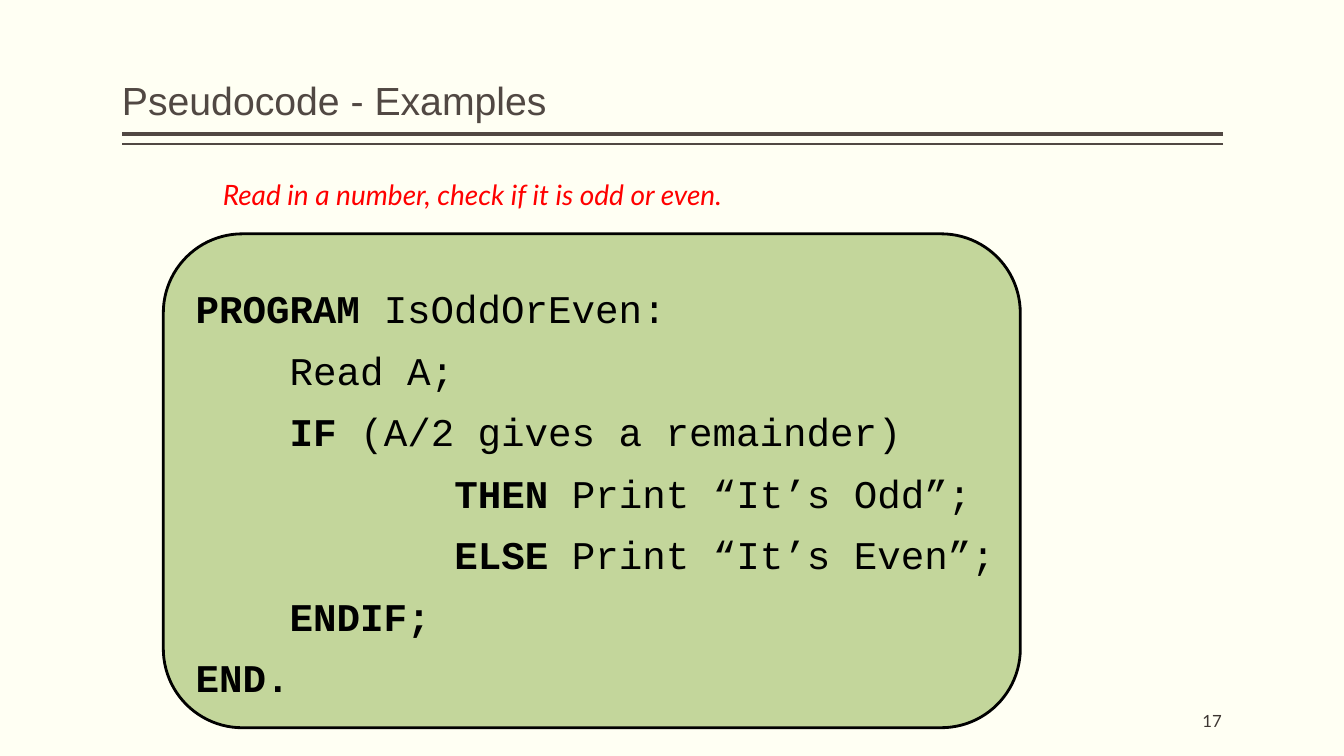
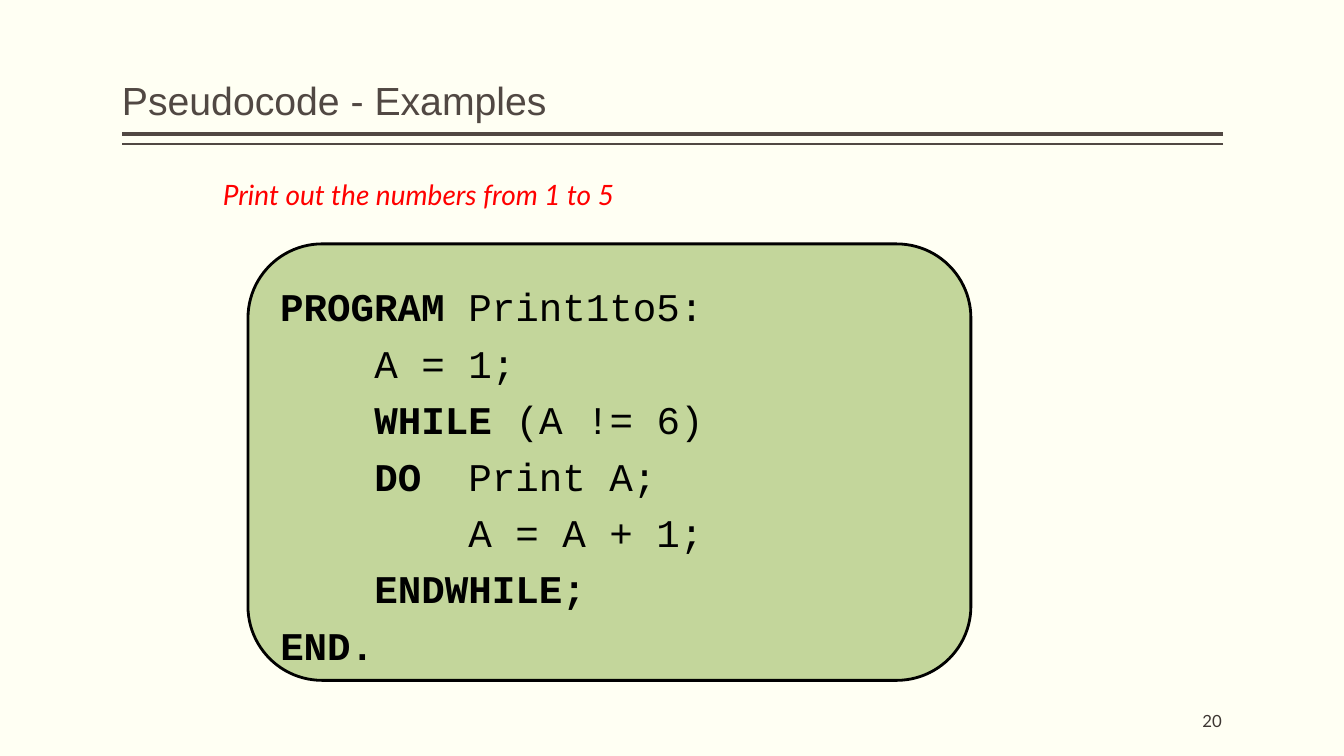
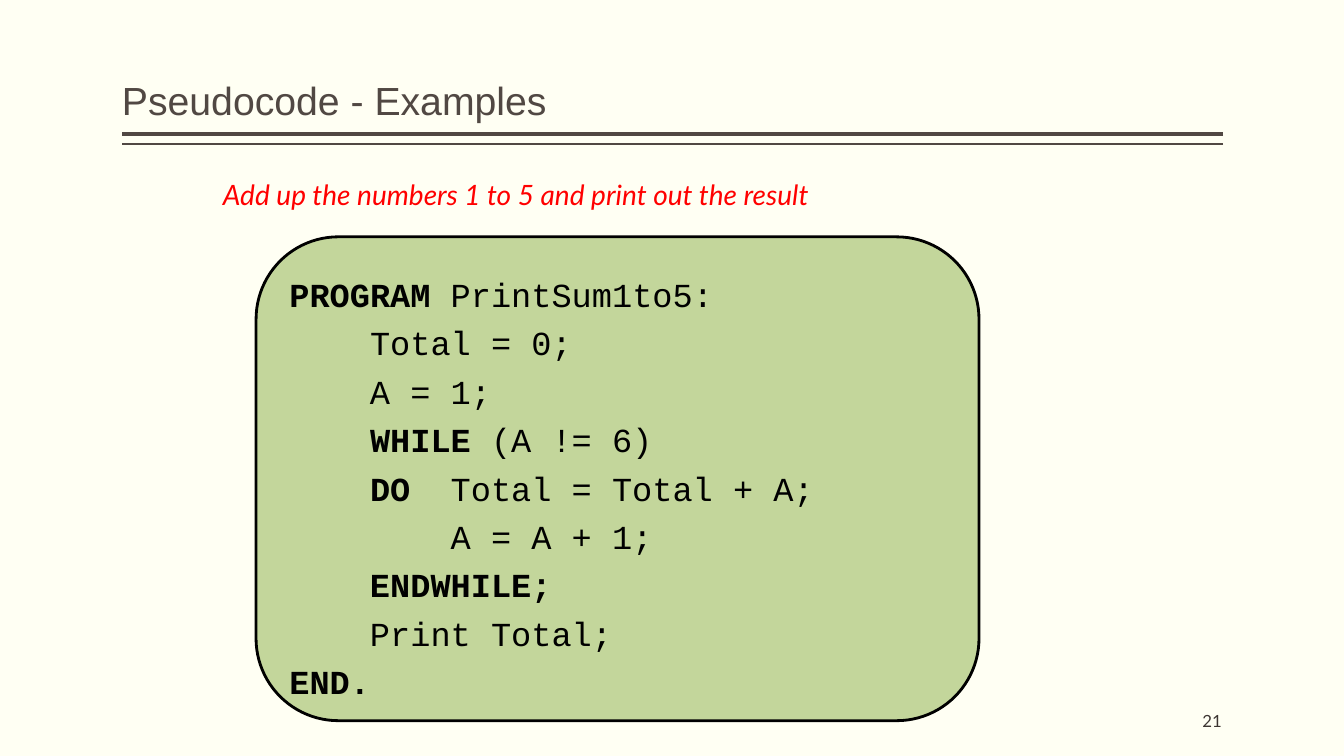
from dataclasses import dataclass

from lxml import etree
from pptx import Presentation
from pptx.dml.color import RGBColor
from pptx.enum.shapes import MSO_CONNECTOR, MSO_SHAPE
from pptx.enum.text import MSO_ANCHOR, MSO_AUTO_SIZE, PP_ALIGN
from pptx.oxml.ns import qn
from pptx.util import Inches, Pt

COLORS = {
    "background": "FFFFF3",
    "title": "514843",
    "task": "FF0000",
    "number": "3D3632",
    "panel": "C3D69B",
    "code": "000000",
}
TITLE = "Pseudocode - Examples"
KEYWORDS = {"PROGRAM", "IF", "THEN", "ELSE", "ENDIF;", "WHILE", "DO", "ENDWHILE;", "END."}
MARGIN_LEFT, CONTENT_WIDTH = 1.21, 10.92


@dataclass
class Example:
    number: str
    task: str
    panel: tuple
    corner: float
    code_left: float
    code_top: float
    row_pitch: float
    row_height: float
    size: int
    rows: list


EXAMPLES = [
    Example(
        "17", "Read in a number, check if it is odd or even.",
        (1.62, 2.32, 8.5, 4.9), 0.16, 1.94, 2.79, 0.61, 0.53, 28,
        [
            [(0, "PROGRAM"), (8, "IsOddOrEven"), (19, ":")],
            [(4, "Read A;")],
            [(4, "IF"), (7, "("), (8, "A/2 gives a remainder"), (29, ")")],
            [(11, "THEN"), (16, "Print “It’s Odd”;")],
            [(11, "ELSE"), (16, "Print “It’s Even”;")],
            [(4, "ENDIF;")],
            [(0, "END.")],
        ],
    ),
    Example(
        "20", "Print out the numbers from 1 to 5",
        (2.46, 2.42, 7.17, 4.33), 0.17, 2.78, 2.77, 0.56, 0.48, 28,
        [
            [(0, "PROGRAM"), (8, "Print1to5:")],
            [(4, "A = 1;")],
            [(4, "WHILE"), (10, "("), (11, "A != "), (16, "6)")],
            [(4, "DO"), (8, "Print A;")],
            [(8, "A = A + 1;")],
            [(4, "ENDWHILE;")],
            [(0, "END.")],
        ],
    ),
    Example(
        "21", "Add up the numbers 1 to 5 and print out the result",
        (2.54, 2.35, 7.17, 4.8), 0.17, 2.87, 2.69, 0.48, 0.41, 24,
        [
            [(0, "PROGRAM"), (8, "PrintSum1to5:")],
            [(4, "Total = 0;")],
            [(4, "A = 1;")],
            [(4, "WHILE"), (10, "("), (11, "A != "), (16, "6)")],
            [(4, "DO"), (8, "Total = Total + A;")],
            [(8, "A = A + 1;")],
            [(4, "ENDWHILE;")],
            [(4, "Print Total;")],
            [(0, "END.")],
        ],
    ),
]


def rgb(name):
    return RGBColor.from_string(COLORS[name])


def write_text(shape, text, *, size, font, color, bold=False, italic=False,
               align=PP_ALIGN.LEFT, anchor=MSO_ANCHOR.TOP, line_spacing=1.0,
               before=0, after=0, inset=0.05):
    frame = shape.text_frame
    frame.word_wrap = True
    frame.auto_size = MSO_AUTO_SIZE.NONE
    frame.vertical_anchor = anchor
    frame.margin_left = frame.margin_right = 0
    frame.margin_top = frame.margin_bottom = Inches(inset)
    paragraph = frame.paragraphs[0]
    paragraph.alignment = align
    paragraph.line_spacing = line_spacing
    paragraph.space_before = Pt(before)
    paragraph.space_after = Pt(after)
    run = paragraph.add_run()
    run.text = text
    run.font.size = Pt(size)
    run.font.name = font
    run.font.bold = bold
    run.font.italic = italic
    run.font.color.rgb = rgb(color)
    return paragraph


def place(shape, left, top, width, height):
    shape.left, shape.top = Inches(left), Inches(top)
    shape.width, shape.height = Inches(width), Inches(height)


def add_rule(slide, top, weight):
    rule = slide.shapes.add_connector(
        MSO_CONNECTOR.STRAIGHT, Inches(MARGIN_LEFT + CONTENT_WIDTH), Inches(top),
        Inches(MARGIN_LEFT), Inches(top))
    rule.line.color.rgb = rgb("title")
    rule.line.width = Pt(weight)
    etree.SubElement(rule.element.spPr, qn("a:effectLst"))
    return rule


def style_master(presentation, slide):
    master = presentation.slide_master
    master.background.fill.solid()
    master.background.fill.fore_color.rgb = rgb("background")
    for top, weight in ((1.33, 3), (1.43, 1)):
        master.shapes.element.append(add_rule(slide, top, weight).element)


def add_headings(slide, example):
    title, body = slide.placeholders
    place(title, MARGIN_LEFT, 0.08, CONTENT_WIDTH, 1.2)
    write_text(title, TITLE, size=28, font="Arial", color="title",
               anchor=MSO_ANCHOR.BOTTOM, line_spacing=0.9)
    place(body, MARGIN_LEFT, 1.75, CONTENT_WIDTH, 5)
    task = write_text(body, example.task, size=20, font="Lato", color="task",
                      italic=True, line_spacing=0.9, before=18)
    properties = task._p.get_or_add_pPr()
    properties.set("marL", str(Inches(1)))
    properties.set("indent", "0")
    etree.SubElement(properties, qn("a:buNone"))


def add_text_box(slide, box, text, **text_format):
    text_box = slide.shapes.add_textbox(*map(Inches, box))
    write_text(text_box, text, **text_format)


def add_panel(slide, example):
    panel = slide.shapes.add_shape(MSO_SHAPE.ROUNDED_RECTANGLE, *map(Inches, example.panel))
    panel.adjustments[0] = example.corner
    panel.shadow.inherit = False
    panel.fill.solid()
    panel.fill.fore_color.rgb = rgb("panel")
    panel.line.color.rgb = rgb("code")
    panel.line.width = Pt(2)


def add_code(slide, example):
    column_width = example.size * 0.6 / 72
    for row, segments in enumerate(example.rows):
        top = example.code_top + row * example.row_pitch
        for column, text in segments:
            box = (example.code_left + column * column_width, top,
                   len(text) * example.size / 90, example.row_height)
            add_text_box(slide, box, text, size=example.size, font="Courier New",
                         color="code", bold=text in KEYWORDS, line_spacing=1.07,
                         after=8, inset=0)


def main():
    presentation = Presentation()
    presentation.slide_width = Inches(13.33)
    presentation.slide_height = Inches(7.5)
    layout = presentation.slide_layouts.get_by_name("Title and Content")
    for example in EXAMPLES:
        slide = presentation.slides.add_slide(layout)
        add_headings(slide, example)
        add_text_box(slide, (10.12, 6.95, 2, 0.4), example.number, size=12, font="Lato",
                     color="number", align=PP_ALIGN.RIGHT, anchor=MSO_ANCHOR.MIDDLE)
        add_panel(slide, example)
        add_code(slide, example)
    style_master(presentation, presentation.slides[0])
    presentation.save("out.pptx")


main()
